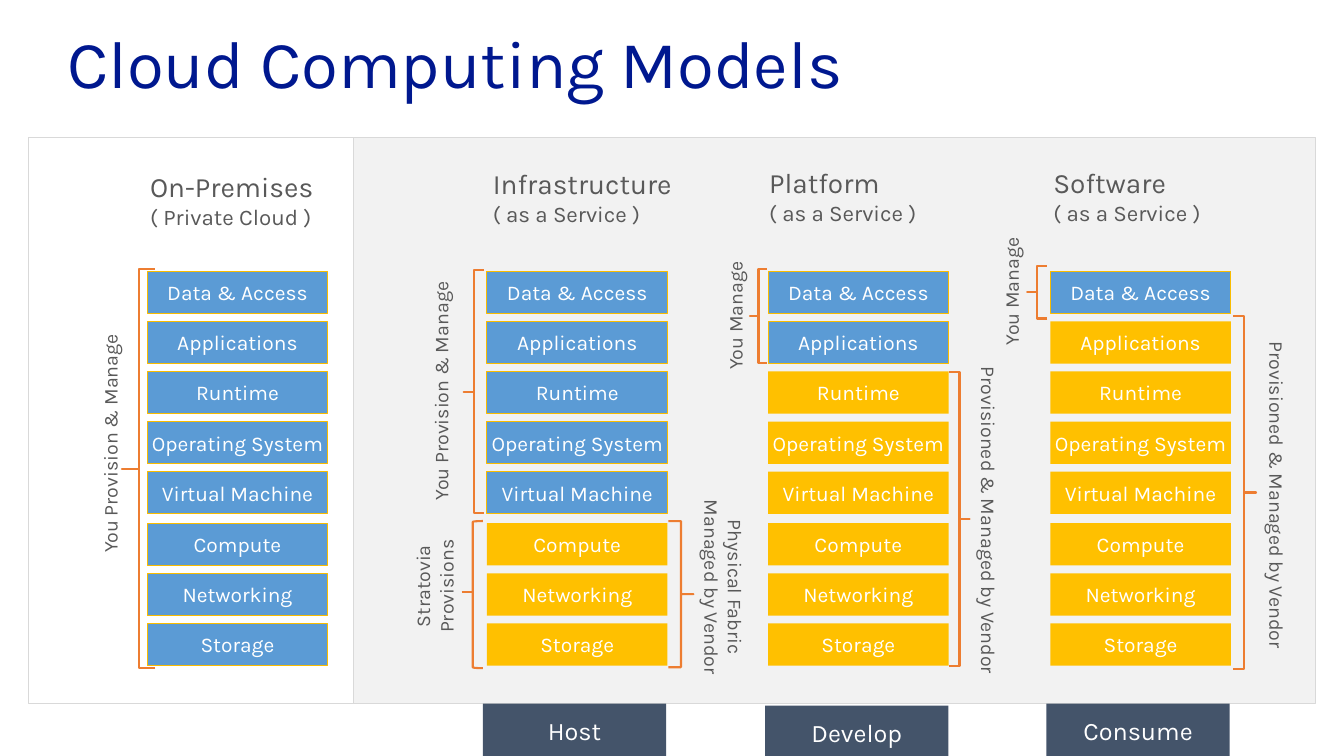
from lxml import etree
from pptx import Presentation
from pptx.dml.color import RGBColor
from pptx.enum.shapes import MSO_CONNECTOR, MSO_SHAPE
from pptx.enum.text import MSO_ANCHOR, PP_ALIGN
from pptx.oxml.ns import qn
from pptx.util import Pt

RECTANGLE = MSO_SHAPE.RECTANGLE
LEFT_BRACE, RIGHT_BRACE = MSO_SHAPE.LEFT_BRACE, MSO_SHAPE.RIGHT_BRACE
LEFT_BRACKET = MSO_SHAPE.LEFT_BRACKET
STRAIGHT = MSO_CONNECTOR.STRAIGHT
LEFT, CENTER = PP_ALIGN.LEFT, PP_ALIGN.CENTER
TOP, MIDDLE = MSO_ANCHOR.TOP, MSO_ANCHOR.MIDDLE
UP, DOWN = "vert270", "eaVert"

FONT = "Karla"
COLORS = {
    "title": "00188F",
    "text": "595959",
    "white": "FFFFFF",
    "panel": "F2F2F2",
    "border": "D9D9D9",
    "yours": "5B9BD5",
    "vendor": "FFC000",
    "tile_edge": "F9BC00",
    "brace": "ED7D31",
    "role": "44546A",
}

TITLE = "Cloud Computing Models"
LAYERS = ["Data & Access", "Applications", "Runtime", "Operating System",
          "Virtual Machine", "Compute", "Networking", "Storage"]
SERVICE = "( as a Service )"
MODELS = [
    {"name": "On-Premises", "note": "( Private Cloud )", "yours": 8,
     "left": 105.1, "head": (107.3, 121)},
    {"name": "Infrastructure", "note": SERVICE, "yours": 5,
     "left": 347.8, "head": (352.1, 118.8)},
    {"name": "Platform", "note": SERVICE, "yours": 2,
     "left": 548.6, "head": (549.4, 118.1)},
    {"name": "Software", "note": SERVICE, "yours": 1,
     "left": 750.2, "head": (752.4, 118.1)},
]
ROLES = [("Host", 344.9, 502.6), ("Develop", 546.5, 504), ("Consume", 747.4, 502.6)]
BRACES = [
    (LEFT_BRACE, 87.1, 192.2, 23.8, 285.1),
    (RIGHT_BRACE, 477.4, 372.2, 18, 104.4),
    (LEFT_BRACE, 331.2, 193, 14.4, 173.5),
    (RIGHT_BRACE, 678.2, 265.7, 14.4, 210.2),
    (LEFT_BRACE, 535.7, 192.2, 12.2, 67),
    (RIGHT_BRACE, 880.6, 225.4, 16.6, 252.7),
    (LEFT_BRACE, 733.7, 190.1, 14.4, 37.4),
]
PROVIDER_BRACKET = (337.7, 372.2, 7.2, 105.1)
MANAGE = "You Provision & Manage"
MANAGED = "Provisioned & Managed by Vendor"
SIDE_LABELS = [
    (MANAGE, UP, 62.6, 236.2, 31.7, 161.3),
    (MANAGE, UP, 298.8, 198.7, 31.7, 161.3),
    ("Stratovia\nProvisions", UP, 286, 381.6, 48.2, 74.2),
    ("Physical Fabric\nManaged by Vendor", DOWN, 493, 349.9, 48.2, 134.6),
    ("You Manage", UP, 509, 182.9, 31.7, 85),
    (MANAGED, DOWN, 690.5, 254.9, 31.7, 226.1),
    ("You Manage", UP, 706.3, 165.6, 31.7, 85),
    (MANAGED, DOWN, 896.4, 236.9, 31.7, 226.1),
]

TILE_WIDTH, TILE_HEIGHT = 129, 30.2
TILE_TOP, TILE_PITCH = 193.7, 35.8
HARDWARE_ROW, HARDWARE_GAP = 5, 1

deck = Presentation()
deck.slide_width, deck.slide_height = Pt(960), Pt(540)
slide = deck.slides.add_slide(deck.slide_layouts[6])


def rgb(name):
    return RGBColor.from_string(COLORS[name])


def write(frame, text, sizes, color="white", align=CENTER, anchor=MIDDLE,
          insets=(0, 0), direction=None, spacing=None, wrap=True):
    frame.word_wrap = wrap
    frame.vertical_anchor = anchor
    frame.margin_left = frame.margin_right = Pt(insets[0])
    frame.margin_top = frame.margin_bottom = Pt(insets[1])
    if direction:
        frame._txBody.bodyPr.set("vert", direction)
    frame.text = text
    for paragraph, size in zip(frame.paragraphs, sizes):
        paragraph.alignment = align
        if spacing:
            paragraph.line_spacing = spacing
        paragraph.font.size = Pt(size)
        paragraph.font.name = FONT
        paragraph.font.color.rgb = rgb(color)


def textbox(box, text, sizes, **style):
    write(slide.shapes.add_textbox(*map(Pt, box)).text_frame, text, sizes, **style)


def draw(kind, box, fill=None, line=None, weight=0.75):
    shape = slide.shapes.add_shape(kind, *map(Pt, box))
    shape.shadow.inherit = False
    if fill:
        shape.fill.solid()
        shape.fill.fore_color.rgb = rgb(fill)
    else:
        shape.fill.background()
    if line:
        shape.line.color.rgb = rgb(line)
        shape.line.width = Pt(weight)
    else:
        shape.line.fill.background()
    return shape


draw(RECTANGLE, (252.7, 97.9, 686.9, 404.6), "panel", "border", 0.5)
draw(RECTANGLE, (20.2, 97.9, 232.5, 404.6), None, "border", 0.5)
textbox((41, 18, 878.4, 59.8), TITLE, [48], color="title", align=LEFT,
        insets=(7.2, 3.6), spacing=0.9)

for model in MODELS:
    textbox((*model["head"], 150, 50.4), f'{model["name"]}\n{model["note"]}',
            [20, 16], color="text", align=LEFT, anchor=TOP)
    for row, layer in enumerate(LAYERS):
        top = TILE_TOP + row * TILE_PITCH
        if row >= HARDWARE_ROW:
            top += HARDWARE_GAP
        yours = row < model["yours"]
        tile = draw(RECTANGLE, (model["left"], top, TILE_WIDTH, TILE_HEIGHT),
                    "yours" if yours else "vendor", "tile_edge" if yours else None)
        write(tile.text_frame, layer, [15], insets=(0, 3.6))

for kind, *box in BRACES:
    brace = draw(kind, box, None, "brace", 1.5)
    brace.adjustments[0] = 0
    brace.adjustments[1] = 0.5

draw(LEFT_BRACKET, PROVIDER_BRACKET, None, "brace", 1.5)
bracket_tip = slide.shapes.add_connector(
    STRAIGHT, Pt(329.8), Pt(422.6), Pt(338.4), Pt(422.6))
bracket_tip.line.color.rgb = rgb("brace")
bracket_tip.line.width = Pt(1.5)
etree.SubElement(bracket_tip._element.spPr, qn("a:effectLst"))

for text, direction, *box in SIDE_LABELS:
    textbox(box, text, [14, 14], color="text", direction=direction,
            insets=(7.2, 3.6), wrap=False)

for role, left, top in ROLES:
    role_box = draw(RECTANGLE, (left, top, 131, 38.2), "role")
    write(role_box.text_frame, role, [18], insets=(7.2, 3.6))

deck.save("out.pptx")
